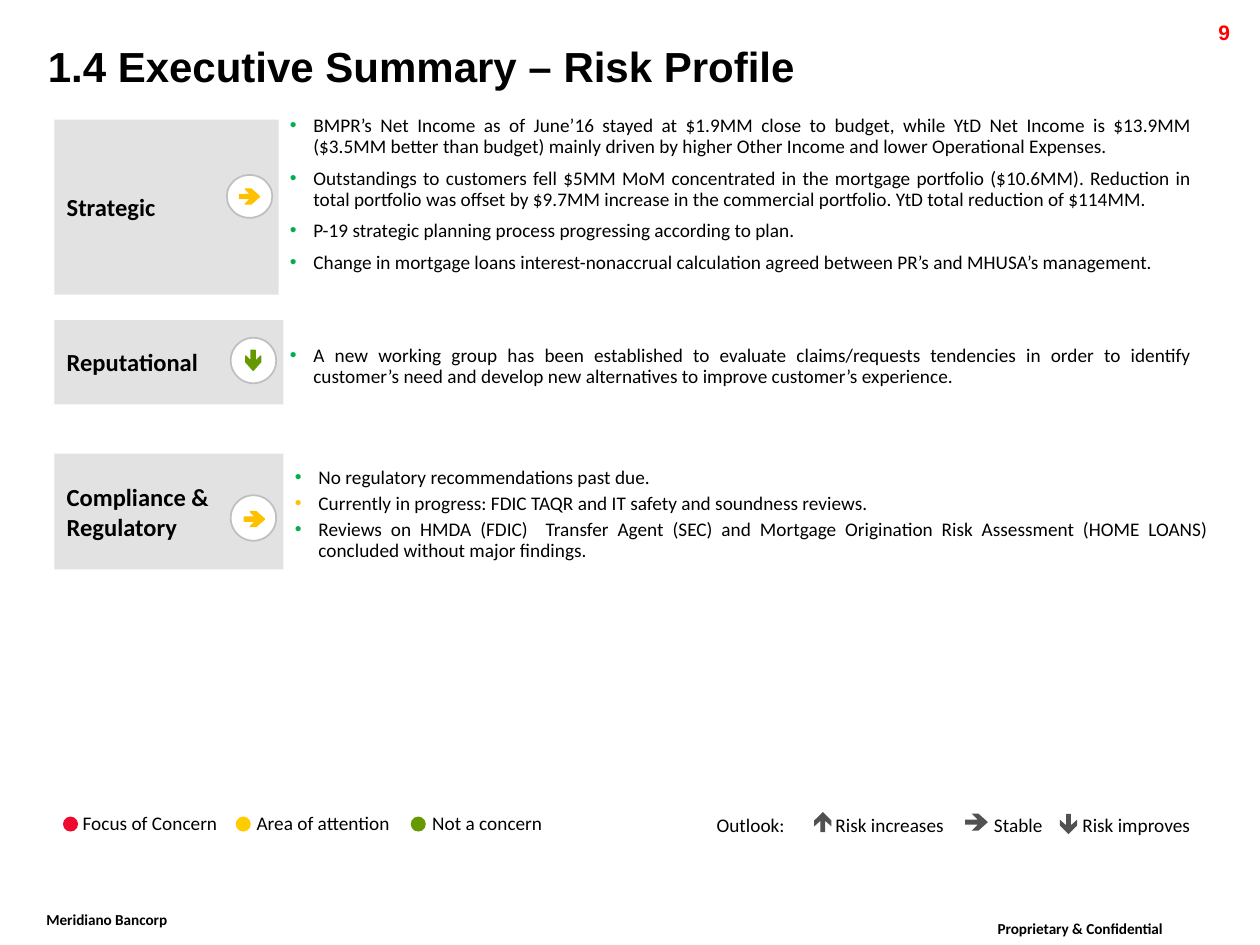
from dataclasses import dataclass

from lxml import etree
from pptx import Presentation
from pptx import util as u
from pptx.dml.color import RGBColor
from pptx.enum import shapes, text
from pptx.oxml import ns

BLACK, WHITE, PANEL, RING, OUTLOOK = "000000", "FFFFFF", "E3E2E2", "BFBFBF", "515151"
RED, YELLOW, AMBER, GREEN, BULLET_GREEN = "ED092F", "FFCC00", "FFC000", "669900", "00B050"
# Downward arrow as fractions of its width and length
ARROW = [(.5, 1), (1, .58), (1, .29), (.64, .56), (.64, 0),
         (.36, 0), (.36, .56), (0, .29), (0, .58)]


@dataclass
class Bullet:
    wording: str
    color: str = BULLET_GREEN


@dataclass
class RiskArea:
    name: str
    panel: tuple
    badge: tuple
    arrow: tuple
    direction: str
    color: str
    body: tuple
    bullets: list
    after: float = 0


@dataclass
class LegendItem:
    label: str
    left: float
    width: float
    center: tuple = ()
    direction: str = ""
    color: str = OUTLOOK
    length: float = 11.5


AREAS = [
    RiskArea("Strategic", (31, 68.4, 128.2, 100), (129.6, 100, 26, 24.5),
             (142.6, 112.3), "right", AMBER, (165.6, 66.2, 515.5, 108.7), [
        Bullet("BMPR’s Net Income as of June’16 stayed at $1.9MM close to budget, while YtD "
               "Net Income is $13.9MM ($3.5MM better than budget) mainly driven by higher "
               "Other Income and lower Operational Expenses."),
        Bullet("Outstandings to customers fell $5MM MoM concentrated in the mortgage portfolio "
               "($10.6MM). Reduction in total portfolio was offset by $9.7MM increase in the "
               "commercial portfolio. YtD total reduction of $114MM."),
        Bullet("P-19 strategic planning process progressing according to plan."),
        Bullet("Change in mortgage loans interest-nonaccrual calculation agreed between PR’s "
               "and MHUSA’s management."),
    ], 3),
    RiskArea("Reputational", (31, 182.9, 131, 48.2), (131.8, 193, 26, 26),
             (144.7, 205.9), "down", GREEN, (165.6, 197.3, 515.5, 24.5), [
        Bullet("A new working group has been established to evaluate claims/requests "
               "tendencies in order to identify customer’s need and develop new alternatives "
               "to improve customer’s experience."),
    ]),
    RiskArea("Compliance & Regulatory", (31, 259.2, 131, 66.2), (131.8, 283, 26, 26),
             (145.4, 296.6), "right", AMBER, (168.5, 267.1, 522, 54.7), [
        Bullet("No regulatory recommendations past due."),
        Bullet("Currently in progress: FDIC TAQR and IT safety and soundness reviews.", AMBER),
        Bullet("Reviews on HMDA (FDIC)  Transfer Agent (SEC) and Mortgage Origination Risk "
               "Assessment (HOME LOANS) concluded without major findings."),
    ]),
]
CONCERN_LEGEND = [
    LegendItem("Focus of Concern", 47.2, 99.4, (40.3, 470.9), color=RED),
    LegendItem("Area of attention", 146.6, 78.5, (139, 470.9), color=YELLOW),
    LegendItem("Not a concern", 247, 77, (239, 470.9), color=GREEN),
]
OUTLOOK_LEGEND = [
    LegendItem("Outlook:", 409.5, 51.8),
    LegendItem("Risk increases", 477.4, 72.7, (470.2, 469.8), "up"),
    LegendItem("Stable", 568, 50.4, (558, 469.8), "right", length=13),
    LegendItem("Risk improves", 618.5, 62.6, (610.6, 470.9), "down"),
]


def rgb(color: str) -> RGBColor:
    return RGBColor.from_string(color)


def paint(shape, fill: str, line: str = "", weight: float = 0.75) -> None:
    shape.shadow.inherit = False
    shape.fill.solid()
    shape.fill.fore_color.rgb = rgb(fill)
    if line:
        shape.line.color.rgb = rgb(line)
        shape.line.width = u.Pt(weight)
    else:
        shape.line.fill.background()


def add_preset(slide, preset, box: tuple, fill: str, line: str = "", weight: float = 0.75):
    shape = slide.shapes.add_shape(preset, *map(u.Pt, box))
    paint(shape, fill, line, weight)
    return shape


def write(paragraph, wording: str, *, size: float = 11, font: str = "Calibri",
          color: str = BLACK, bold: bool = False, align=text.PP_ALIGN.LEFT,
          raised: bool = False) -> None:
    run = paragraph.add_run()
    run.text = wording
    run.font.size, run.font.name, run.font.bold = u.Pt(size), font, bold
    run.font.color.rgb = rgb(color)
    paragraph.alignment = align
    if raised:
        run.font._element.set("baseline", "30000")


def add_frame(slide, box: tuple, inset: bool = False, wrap: bool = True):
    frame = slide.shapes.add_textbox(*map(u.Pt, box)).text_frame
    frame.word_wrap = wrap
    if not inset:
        frame.margin_left = frame.margin_right = frame.margin_top = frame.margin_bottom = 0
    return frame


def add_text(slide, box: tuple, wording: str, *, inset: bool = False, wrap: bool = True,
             **style) -> None:
    write(add_frame(slide, box, inset, wrap).paragraphs[0], wording, **style)


def add_bullets(slide, box: tuple, bullets: list, after: float) -> None:
    frame = add_frame(slide, box)
    for index, bullet in enumerate(bullets):
        paragraph = frame.add_paragraph() if index else frame.paragraphs[0]
        props = paragraph._p.get_or_add_pPr()
        props.set("marL", str(u.Pt(13.5)))
        props.set("indent", str(-u.Pt(13.5)))
        bullet_color = etree.SubElement(props, ns.qn("a:buClr"))
        etree.SubElement(bullet_color, ns.qn("a:srgbClr"), val=bullet.color)
        etree.SubElement(props, ns.qn("a:buFont"), typeface="Arial")
        etree.SubElement(props, ns.qn("a:buChar"), char="•")
        paragraph.line_spacing = u.Pt(12)
        paragraph.space_before = u.Pt(3 if index else 0)
        paragraph.space_after = u.Pt(after)
        write(paragraph, bullet.wording, align=text.PP_ALIGN.JUSTIFY)


def add_arrow(slide, center: tuple, direction: str, color: str, *, line: str = "",
              width: float = 9.8, length: float = 11.5) -> None:
    points = []
    for across, along in ARROW:
        x, y = (across - .5) * width, (along - .5) * length
        dx, dy = {"down": (x, y), "up": (x, -y), "right": (y, x)}[direction]
        points.append((u.Pt(center[0] + dx), u.Pt(center[1] + dy)))
    builder = slide.shapes.build_freeform(*points[0])
    builder.add_line_segments(points[1:], close=True)
    paint(builder.convert_to_shape(), color, line)


def add_area(slide, area: RiskArea) -> None:
    add_bullets(slide, area.body, area.bullets, area.after)
    panel = add_preset(slide, shapes.MSO_SHAPE.RECTANGLE, area.panel, PANEL)
    panel.text_frame.word_wrap = True
    panel.text_frame.vertical_anchor = text.MSO_ANCHOR.MIDDLE
    write(panel.text_frame.paragraphs[0], area.name, size=14, bold=True)
    add_preset(slide, shapes.MSO_SHAPE.OVAL, area.badge, WHITE, RING, 1)
    add_arrow(slide, area.arrow, area.direction, area.color, line=area.color, width=8.6)


def add_legend(slide, items: list, top: float) -> None:
    for item in items:
        add_text(slide, (item.left, top, item.width, 13.5), item.label)
        if item.direction:
            add_arrow(slide, item.center, item.direction, item.color, length=item.length)
        elif item.center:
            x, y = item.center
            add_preset(slide, shapes.MSO_SHAPE.OVAL, (x - 4.3, y - 4.3, 8.6, 8.6), item.color)


def main() -> None:
    deck = Presentation()
    deck.slide_width, deck.slide_height = u.Pt(720), u.Pt(540)
    slide = deck.slides.add_slide(deck.slide_layouts[6])

    # Footer, page number and title
    footer = dict(size=15, bold=True, inset=True, raised=True)
    add_text(slide, (19.4, 514.8, 94.3, 25.2), "Meridiano Bancorp", wrap=False, **footer)
    add_text(slide, (563, 519.8, 157, 25.2), "Proprietary & Confidential", **footer)
    add_text(slide, (641.5, 7.9, 68.4, 17.3), "9", size=12, font="Arial", color="FF0000",
             bold=True, align=text.PP_ALIGN.RIGHT, inset=True)
    add_text(slide, (20.2, 19.4, 699.8, 36), "1.4 Executive Summary – Risk Profile",
             size=24, font="Arial", bold=True, inset=True)

    # Risk areas
    for area in AREAS:
        add_area(slide, area)

    # Legends
    add_legend(slide, CONCERN_LEGEND, 463.7)
    add_legend(slide, OUTLOOK_LEGEND, 464.8)

    deck.save("out.pptx")


if __name__ == "__main__":
    main()
